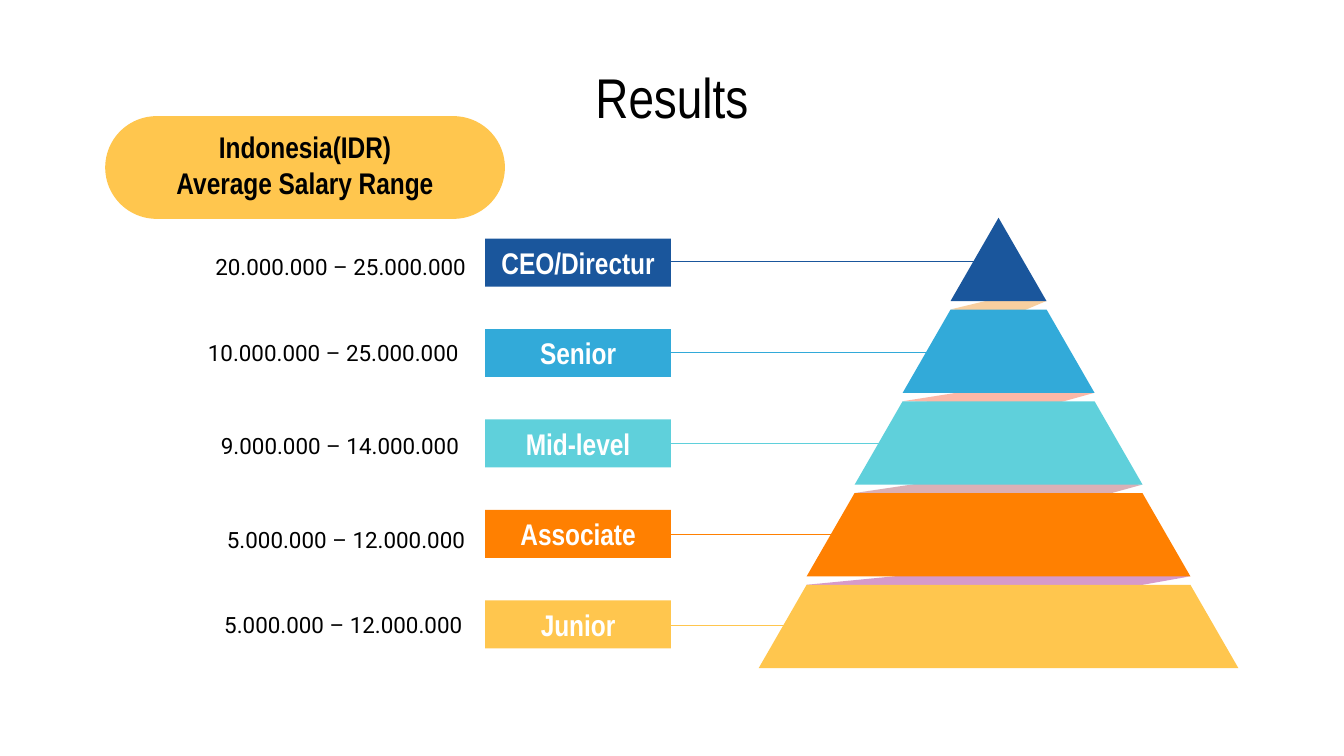
from dataclasses import dataclass

from pptx import Presentation
from pptx.dml.color import RGBColor
from pptx.enum.shapes import MSO_CONNECTOR as Connector, MSO_SHAPE as Preset
from pptx.enum.text import MSO_ANCHOR as Anchor, MSO_AUTO_SIZE as AutoSize, PP_ALIGN as Align
from pptx.oxml.ns import qn
from pptx.util import Inches, Pt
from lxml.etree import SubElement

# The page is a grid of square cells: 100 columns by 56.25 rows (16:9).
COLUMNS, ROWS = 100, 56.25
HEADING_FONT, BODY_FONT = "Arial Narrow", "Roboto"
BLACK, WHITE, GOLD = "000000", "FFFFFF", "FFC64E"

LABEL_LEFT, LABEL_TOP, LABEL_WIDTH, LABEL_HEIGHT = 36.1, 17.75, 13.83, 3.57
ROW_PITCH = 6.73
LINE_TOP, LINE_PITCH = 19.48, 6.76
SALARY_WIDTH, SALARY_HEIGHT = 24.8, 5.8
APEX_COLUMN, APEX_ROW = 74.3, 16.2
TIER_HEIGHT, TIER_PITCH, TIER_SPREAD = 6.2, 6.83, 3.57

Point = tuple[float, float]


@dataclass(frozen=True)
class Level:
    name: str
    salary: str
    color: str
    salary_center: float
    salary_top: float
    line_end: float


@dataclass(frozen=True)
class Fold:
    """The shaded strip between a tier and the one below it."""
    color: str
    opacity: int
    top: Point
    bottom: Point


LEVELS = [
    Level("CEO/Directur", "20.000.000 – 25.000.000", "1A569C", 25.35, 16.95, 73.3),
    Level("Senior", "10.000.000 – 25.000.000", "32AAD9", 24.8, 23.35, 69.9),
    Level("Mid-level", "9.000.000 – 14.000.000", "5FD0DB", 25.3, 30.25, 67.8),
    Level("Associate", "5.000.000 – 12.000.000", "FF8001", 25.75, 37.25, 64.5),
    Level("Junior", "5.000.000 – 12.000.000", GOLD, 25.55, 43.55, 60.2),
]
FOLDS = [
    Fold("EF9121", 43, (74.6, 22.1), (75.5, 23.4)),
    Fold("FB8569", 58, (73.9, 28.8), (78.3, 30.1)),
    Fold("AC4D5B", 44, (72.9, 35.3), (80.5, 37.3)),
    Fold("A11686", 43, (69.5, 42.6), (82.9, 43.9)),
]


def cells(count: float) -> int:
    return Inches(count / 10)


def rgb(color: str) -> RGBColor:
    return RGBColor.from_string(color)


def paint(shape, color: str) -> None:
    shape.shadow.inherit = False
    shape.fill.solid()
    shape.fill.fore_color.rgb = rgb(color)
    shape.line.fill.background()


def write(shape, text: str, size: float, font: str, color: str,
          bold: bool = False, lift: float = 0) -> None:
    """Centre the text in the shape, its area shortened from below by lift cells."""
    frame = shape.text_frame
    frame.text = text
    frame.auto_size = AutoSize.NONE
    frame.word_wrap = True
    frame.vertical_anchor = Anchor.MIDDLE
    frame.margin_left = frame.margin_right = frame.margin_top = 0
    frame.margin_bottom = cells(lift)
    for para in frame.paragraphs:
        para.alignment = Align.CENTER
        for span in para.runs:
            span.font.size = Pt(size)
            span.font.name = font
            span.font.bold = bold
            span.font.color.rgb = rgb(color)


def add_block(page, preset, left: float, top: float, width: float, height: float, color: str):
    box = page.shapes.add_shape(preset, cells(left), cells(top), cells(width), cells(height))
    paint(box, color)
    return box


def add_polygon(page, points: list[Point], color: str):
    corners = [(cells(x), cells(y)) for x, y in points]
    builder = page.shapes.build_freeform(*corners[0])
    builder.add_line_segments(corners[1:], close=True)
    shape = builder.convert_to_shape()
    paint(shape, color)
    return shape


def add_title(page, text: str) -> None:
    title = page.shapes.title
    title.left, title.top = cells(5), cells(4.5)
    title.width, title.height = cells(90), cells(5.3)
    write(title, text, 30, HEADING_FONT, BLACK)


def add_label(page, row: int, level: Level) -> None:
    box = add_block(page, Preset.RECTANGLE, LABEL_LEFT, LABEL_TOP + row * ROW_PITCH,
                    LABEL_WIDTH, LABEL_HEIGHT, level.color)
    write(box, level.name, 16, HEADING_FONT, WHITE, bold=True)


def add_salary(page, level: Level) -> None:
    box = page.shapes.add_textbox(cells(level.salary_center - SALARY_WIDTH / 2),
                                  cells(level.salary_top),
                                  cells(SALARY_WIDTH), cells(SALARY_HEIGHT))
    write(box, level.salary, 12, BODY_FONT, BLACK)


def add_leader(page, row: int, level: Level) -> None:
    height = cells(LINE_TOP + row * LINE_PITCH)
    line = page.shapes.add_connector(Connector.STRAIGHT, cells(LABEL_LEFT + LABEL_WIDTH), height,
                                     cells(level.line_end), height)
    line.line.color.rgb = rgb(level.color)
    line.line.width = Pt(0.75)
    SubElement(line._element.spPr, qn("a:effectLst"))


def tier_corners(row: int) -> list[Point]:
    """Top left, bottom left, bottom right and top right."""
    top = APEX_ROW + row * TIER_PITCH
    bottom = top + TIER_HEIGHT
    inner, outer = row * TIER_SPREAD, (row + 1) * TIER_SPREAD
    return [(APEX_COLUMN - inner, top), (APEX_COLUMN - outer, bottom),
            (APEX_COLUMN + outer, bottom), (APEX_COLUMN + inner, top)]


def add_fold(page, row: int, fold: Fold) -> None:
    left, right = tier_corners(row + 1)[0], tier_corners(row)[2]
    shape = add_polygon(page, [fold.top, left, fold.bottom, right], fold.color)
    color = shape._element.spPr.find(qn("a:solidFill"))[0]
    SubElement(color, qn("a:alpha"), val=str(fold.opacity * 1000))


def add_tier(page, row: int, level: Level) -> None:
    corners = tier_corners(row)
    add_polygon(page, corners if row else corners[:3], level.color)


def main() -> None:
    deck = Presentation()
    deck.slide_width, deck.slide_height = cells(COLUMNS), cells(ROWS)
    page = deck.slides.add_slide(deck.slide_layouts[5])
    add_title(page, "Results")

    for row, level in enumerate(LEVELS):
        add_label(page, row, level)
        add_leader(page, row, level)
        add_salary(page, level)
    for row, fold in enumerate(FOLDS):
        add_fold(page, row, fold)
    for row, level in enumerate(LEVELS):
        add_tier(page, row, level)

    pill = add_block(page, Preset.ROUNDED_RECTANGLE, 7.83, 8.64, 29.74, 7.64, GOLD)
    pill.adjustments[0] = 0.5
    write(pill, "Indonesia(IDR)\nAverage Salary Range", 16, HEADING_FONT, BLACK,
          bold=True, lift=0.4)
    deck.save("out.pptx")


if __name__ == "__main__":
    main()
